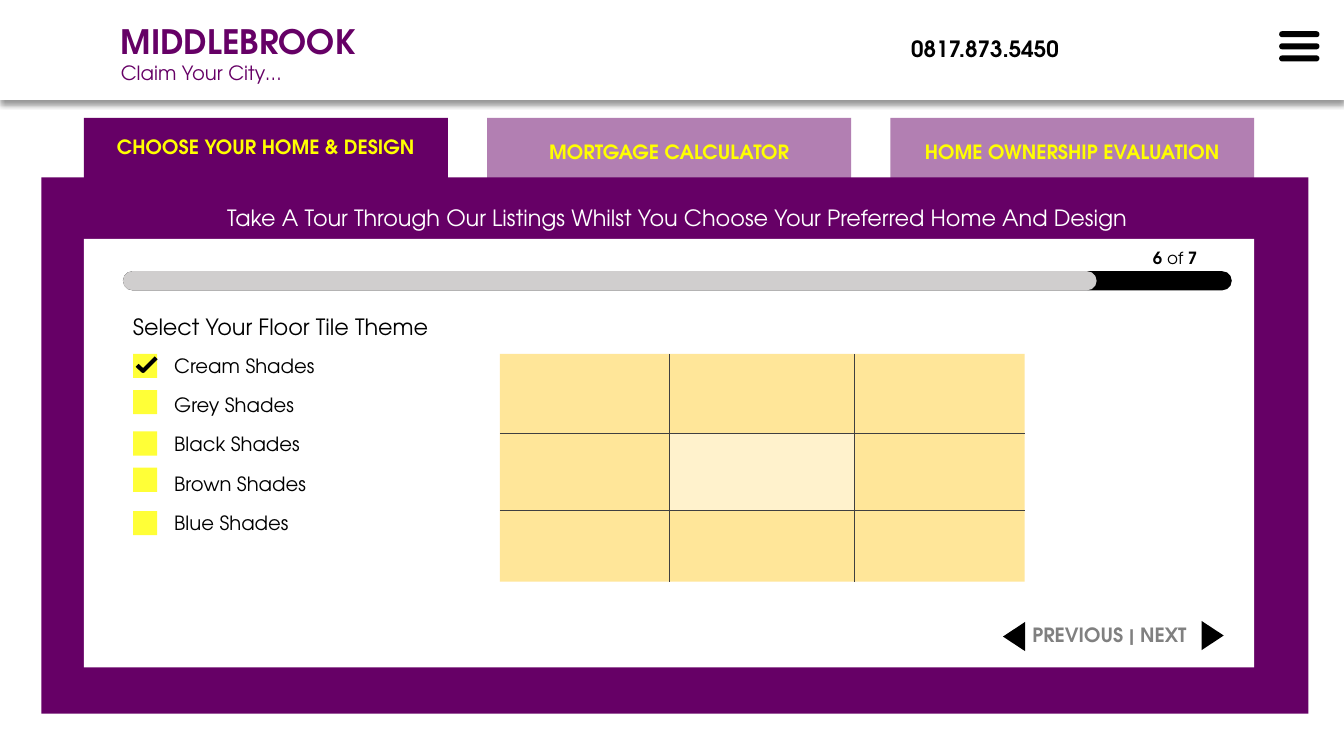
import pptx
import pptx.dml.color
import pptx.enum.shapes
import pptx.enum.text
import pptx.oxml
import pptx.oxml.ns
import pptx.util
from lxml import etree

COLOURS = {
    "white": "FFFFFF", "black": "000000", "purple": "660066", "lilac": "B27FB2",
    "yellow": "FFFF00", "checkbox": "FFFF37", "silver": "D0CECE", "grey": "808080",
    "tile": "FFE699", "cream": "FFF2CC", "joint": "404040",
}
SHAPES = pptx.enum.shapes.MSO_SHAPE
ALIGN = pptx.enum.text.PP_ALIGN
COLUMNS, ROWS = 160, 90


def colour(name):
    return pptx.dml.color.RGBColor.from_string(COLOURS[name])


def write(paragraph, text, font="TeX Gyre Adventor", size=14, ink="black",
          bold=False, align=ALIGN.LEFT):
    paragraph.alignment = align
    run = paragraph.add_run()
    run.text = text
    run.font.name = font
    run.font.size = pptx.util.Pt(size)
    run.font.bold = bold
    run.font.color.rgb = colour(ink)


class Page:
    def __init__(self, deck):
        self.slide = deck.slides.add_slide(deck.slide_layouts[6])
        self.column = deck.slide_width / COLUMNS
        self.row = deck.slide_height / ROWS

    def place(self, *lengths):
        units = (self.column, self.row) * 2
        return [round(length * unit) for length, unit in zip(lengths, units)]

    def block(self, box, fill, kind=SHAPES.RECTANGLE, adjust=(), turn=0):
        block = self.slide.shapes.add_shape(kind, *self.place(*box))
        block.shadow.inherit = False
        block.fill.solid()
        block.fill.fore_color.rgb = colour(fill)
        block.line.fill.background()
        block.rotation = turn
        for index, value in enumerate(adjust):
            block.adjustments[index] = value
        return block

    def pill(self, box, fill):
        return self.block(box, fill, SHAPES.ROUNDED_RECTANGLE, [0.5])

    def pointer(self, box, turn=0):
        return self.block(box, "black", SHAPES.RIGHT_ARROW, [1, 1], turn)

    def drop_shadow(self, block):
        effects = block._element.spPr.find(pptx.oxml.ns.qn("a:effectLst"))
        effects.append(pptx.oxml.parse_xml(
            f'<a:outerShdw {pptx.oxml.ns.nsdecls("a")} blurRad="{pptx.util.Pt(4)}" '
            f'dist="{pptx.util.Pt(3)}" dir="5400000" algn="t" rotWithShape="0">'
            f'<a:srgbClr val="{COLOURS["black"]}"><a:alpha val="40000"/></a:srgbClr>'
            '</a:outerShdw>'))

    def text(self, box, *paragraphs, **style):
        frame = self.slide.shapes.add_textbox(*self.place(*box)).text_frame
        frame.word_wrap = True
        frame.auto_size = pptx.enum.text.MSO_AUTO_SIZE.SHAPE_TO_FIT_TEXT
        for index, runs in enumerate(paragraphs):
            paragraph = frame.add_paragraph() if index else frame.paragraphs[0]
            for words, changes in runs:
                write(paragraph, words, **{**style, **changes})

    def label(self, box, words, **style):
        self.text(box, [(words, {})], **style)

    def line(self, start, end, ink, width):
        line = self.slide.shapes.add_connector(
            pptx.enum.shapes.MSO_CONNECTOR.STRAIGHT, *self.place(*start, *end))
        line.line.color.rgb = colour(ink)
        line.line.width = pptx.util.Pt(width)
        etree.SubElement(line._element.spPr, pptx.oxml.ns.qn("a:effectLst"))

    def tick(self, points, ink, width):
        start, *others = [self.place(*point) for point in points]
        builder = self.slide.shapes.build_freeform(*start)
        builder.add_line_segments(others, close=False)
        tick = builder.convert_to_shape()
        tick.shadow.inherit = False
        tick.fill.background()
        tick.line.color.rgb = colour(ink)
        tick.line.width = pptx.util.Pt(width)


def draw_header(page):
    page.drop_shadow(page.block((0, 0, COLUMNS, 11.88), "white"))
    page.label((107.28, 3.6, 22.08, 4.44), "0817.873.5450", size=16, bold=True)
    for bar in range(3):
        page.pill((152.28, 3.72 + 1.44 * bar, 4.8, 0.72), "black")
    page.text((13.2, 1.92, 31.8, 8.88),
              [("MIDDLEBROOK", {"size": 24, "bold": True})],
              [("Claim Your City…", {})], ink="purple")


def draw_tabs(page):
    tabs = [("CHOOSE YOUR HOME & DESIGN", "purple", 15.48),
            ("MORTGAGE CALCULATOR", "lilac", 16.08),
            ("HOME OWNERSHIP EVALUATION", "lilac", 16.08)]
    for index, (title, fill, title_top) in enumerate(tabs):
        left = 10 + 48 * index
        page.block((left, 14.04, 43.32, 7.32), fill)
        page.label((left, title_top, 43.32, 4.08), title,
                   ink="yellow", bold=True, align=ALIGN.CENTER)


def draw_panel(page):
    page.block((4.92, 21.12, 150.84, 63.84), "purple")
    page.label((14.64, 23.76, 132, 4.44),
               "Take A Tour Through Our Listings Whilst You Choose Your Preferred Home And Design",
               size=16, ink="white", align=ALIGN.CENTER)
    page.block((10, 28.44, 139.32, 51), "white")
    page.label((14.64, 36.72, 132, 4.44), "Select Your Floor Tile Theme", size=16)
    page.pill((14.64, 32.28, 132, 2.28), "black")
    page.text((136.08, 28.92, 10.56, 3.6),
              [("6", {"bold": True}), (" of ", {}), ("7", {"bold": True})], size=12)
    page.pill((14.64, 32.28, 115.92, 2.28), "silver")
    page.label((120.96, 73.56, 22.92, 4.08), "PREVIOUS | NEXT ",
               ink="grey", bold=True, align=ALIGN.CENTER)
    page.pointer((119.4, 74.04, 2.64, 3.48), turn=180)
    page.pointer((143.04, 73.92, 2.64, 3.48))


def draw_shades(page):
    shades = {"Cream": 42.12, "Grey": 46.44, "Black": 51.36, "Brown": 55.68, "Blue": 60.84}
    for index, (shade, checkbox_top) in enumerate(shades.items()):
        page.label((19.56, 41.52 + 4.68 * index, 31.8, 4.08), f"{shade} Shades")
        page.block((15.84, checkbox_top, 2.88, 2.88), "checkbox")
    page.tick([(16.32, 43.5), (17.04, 44.16), (18.6, 42.6)], "black", 3)


def draw_tiles(page):
    left, first_joint, second_joint, right = 59.52, 79.68, 101.76, 122
    top, upper_joint, lower_joint, bottom = 42.12, 51.6, 60.72, 69.24
    page.block((left, top, right - left, bottom - top), "tile")
    page.block((first_joint, upper_joint, second_joint - first_joint,
                lower_joint - upper_joint), "cream")
    for x in (first_joint, second_joint):
        page.line((x, top), (x, bottom), "joint", 0.5)
    for y in (lower_joint, upper_joint):
        page.line((left, y), (right, y), "joint", 0.5)


def main():
    deck = pptx.Presentation()
    deck.slide_width = pptx.util.Inches(13.33)
    deck.slide_height = pptx.util.Inches(7.5)
    page = Page(deck)
    for draw in (draw_header, draw_tabs, draw_panel, draw_shades, draw_tiles):
        draw(page)
    deck.save("out.pptx")


if __name__ == "__main__":
    main()
